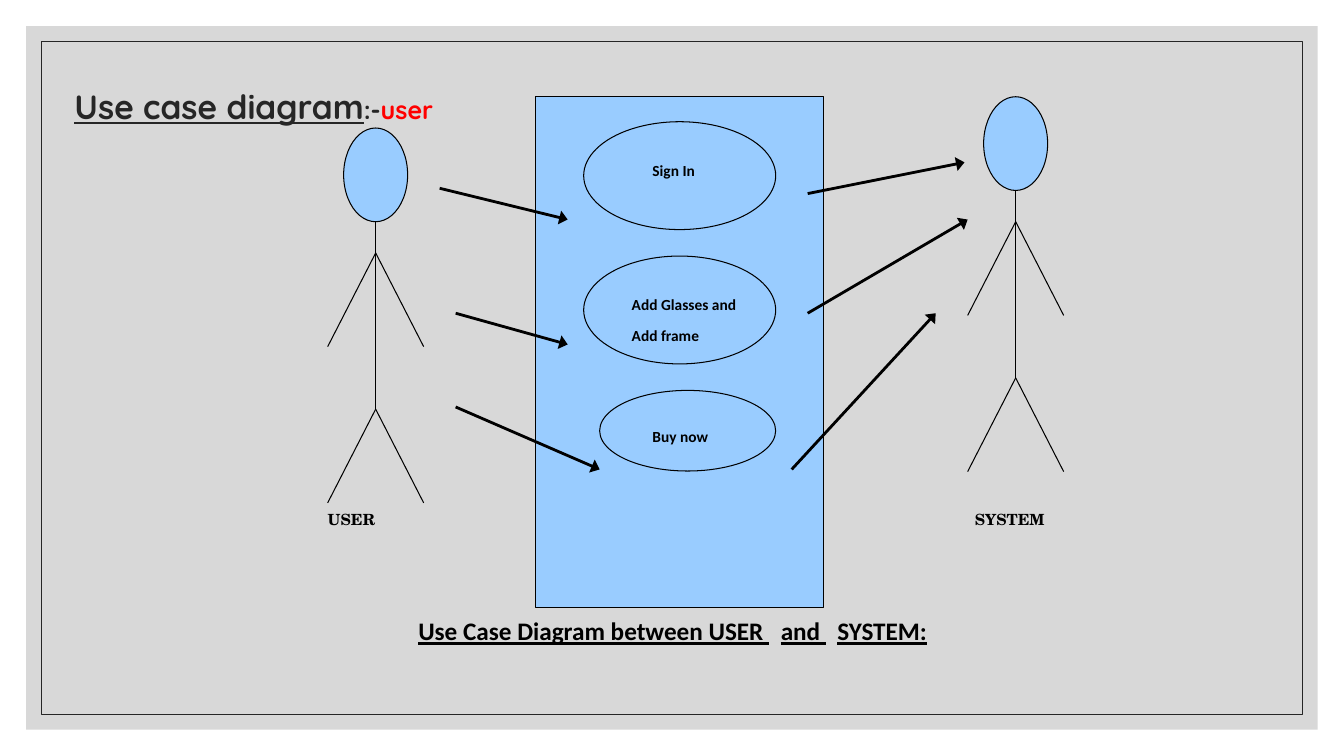
"""Build a slide with a use case diagram between a user and a system."""
from lxml.etree import SubElement as Sub
from pptx import Presentation
from pptx.dml.color import RGBColor as RGB
from pptx.enum.shapes import MSO_CONNECTOR as CON, MSO_SHAPE as SHP
from pptx.enum.text import MSO_ANCHOR as ANC
from pptx.oxml.ns import qn
from pptx.util import Inches, Pt

HUE = {"panel": "BFBFBF", "edge": "262626", "sky": "99CCFF", "ink": "000000", "red": "FF0000"}

deck = Presentation()
deck.slide_width, deck.slide_height = Inches(13.33), Inches(7.5)
W, H = deck.slide_width, deck.slide_height
slide = deck.slides.add_slide(deck.slide_layouts[6])
parts = slide.shapes
col, row = W / 84, H / 24.2
left, top = Inches(3.25), Inches(0.96)


def draw(kind, x, y, w, h, fill=None, edge=None, wide=0.75):
    item = parts.add_shape(kind, int(x), int(y), int(w), int(h))
    item.shadow.inherit = False
    if fill:
        item.fill.solid()
        item.fill.fore_color.rgb = RGB.from_string(HUE[fill])
    else:
        item.fill.background()
    if edge:
        item.line.color.rgb = RGB.from_string(HUE[edge])
        item.line.width = Pt(wide)
    else:
        item.line.fill.background()
    return item


def link(x1, y1, x2, y2, wide=0.75):
    ends = left + x1 * col, top + y1 * row, left + x2 * col, top + y2 * row
    wire = parts.add_connector(CON.STRAIGHT, *map(int, ends))
    wire.line.color.rgb = RGB.from_string(HUE["ink"])
    wire.line.width = Pt(wide)
    Sub(wire._element.spPr, qn("a:effectLst"))
    return wire


gap = Inches(0.26)
panel = draw(SHP.RECTANGLE, gap, gap, W - 2 * gap, H - 2 * gap, "panel")
tint = panel._element.spPr.find(qn("a:solidFill"))[0]
Sub(tint, qn("a:alpha"), val="60000")
gap = Inches(0.41)
draw(SHP.RECTANGLE, gap, gap, W - 2 * gap, H - 2 * gap, None, "edge", 0.5)

for mid, head in [(3, 1), (43, 0)]:
    draw(SHP.OVAL, left + (mid - 2) * col, top + head * row, 4 * col, 3 * row, "sky", "ink")
    link(mid, head + 3, mid, head + 9)
    for joint in (head + 4, head + 9):
        for side in (-3, 3):
            link(mid, joint, mid + side, joint + 3)

draw(SHP.RECTANGLE, left + 13 * col, top, 18 * col, Inches(5.07), "sky", "ink")
for num, (start, tall) in enumerate([(16, 1.07), (16, 1.07), (17, 0.8)]):
    draw(SHP.OVAL, left + start * col, top + (0.8 + 4.3 * num) * row,
         (28 - start) * col, Inches(tall), "sky", "ink")

ARROWS = [(7, 2.93, 15, 3.93), (8, 6.93, 15, 7.93), (8, 9.93, 17, 11.93),
          (30, 3.1, 39.8, 2.1), (30, 6.93, 40, 3.93), (29, 11.93, 38, 6.93)]
for ends in ARROWS:
    line = link(*ends, wide=2).line
    Sub(line._get_or_add_ln(), qn("a:tailEnd"), type="triangle", w="lg", len="med")

LABELS = [("USER", 0, 13.2, 5, "TeX Gyre Schola"),
          ("SYSTEM", 40.45, 13.2, 7, "TeX Gyre Schola"),
          ("Sign In", 20.3, 2.03, 6, "Calibri"),
          ("Add Glasses and\nAdd frame", 19, 6.32, 8, "Calibri"),
          ("Buy now", 20.3, 10.52, 6, "Calibri")]
for text, x, y, span, face in LABELS:
    box = parts.add_textbox(int(left + x * col), int(top + y * row), int(span * col), Inches(0.52))
    frame = box.text_frame
    frame.word_wrap = True
    frame.margin_left = frame.margin_right = frame.margin_top = frame.margin_bottom = 0
    frame.text = text
    for para in frame.paragraphs:
        para.line_spacing, para.space_after = 1.07, Pt(8)
        font = para.font
        font.name, font.size, font.bold = face, Pt(11), True
        font.color.rgb = RGB.from_string(HUE["ink"])

box = parts.add_textbox(Inches(4.05), Inches(6.03), W // 2, Inches(0.5))
box.text_frame.word_wrap = True
para = box.text_frame.paragraphs[0]
para.line_spacing = 1.1
font = para.font
font.name, font.size, font.bold, font.underline = "Calibri", Pt(18), True, True
font.color.rgb = RGB.from_string(HUE["ink"])
for text in ("Use Case Diagram between USER", " ", "and", " ", "SYSTEM:"):
    run = para.add_run()
    run.text = text
    if text == " ":
        run._r.get_or_add_rPr().set("spc", "810")

box = parts.add_textbox(Inches(0.64), Inches(0.7), Inches(4.36), Inches(0.76))
box.text_frame.word_wrap = True
box.text_frame.vertical_anchor = ANC.MIDDLE
para = box.text_frame.paragraphs[0]
para.line_spacing = 0.9
para.font.name, para.font.bold = "Quicksand", True
for text, size, under, hue in [("Use case diagram", 24, True, "edge"),
                               (":-", 18, False, "edge"), ("user", 18, False, "red")]:
    run = para.add_run()
    run.text = text
    run.font.size, run.font.underline = Pt(size), under
    run.font.color.rgb = RGB.from_string(HUE[hue])

deck.save("out.pptx")
